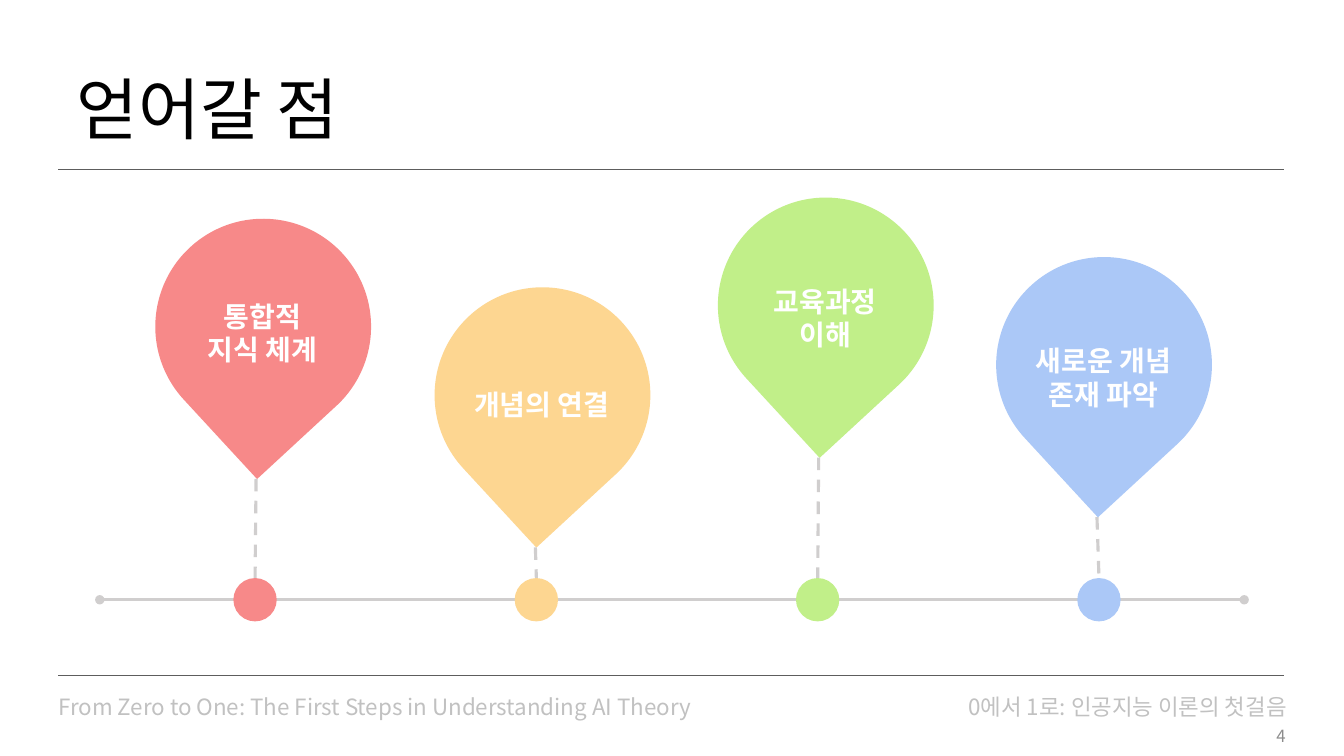
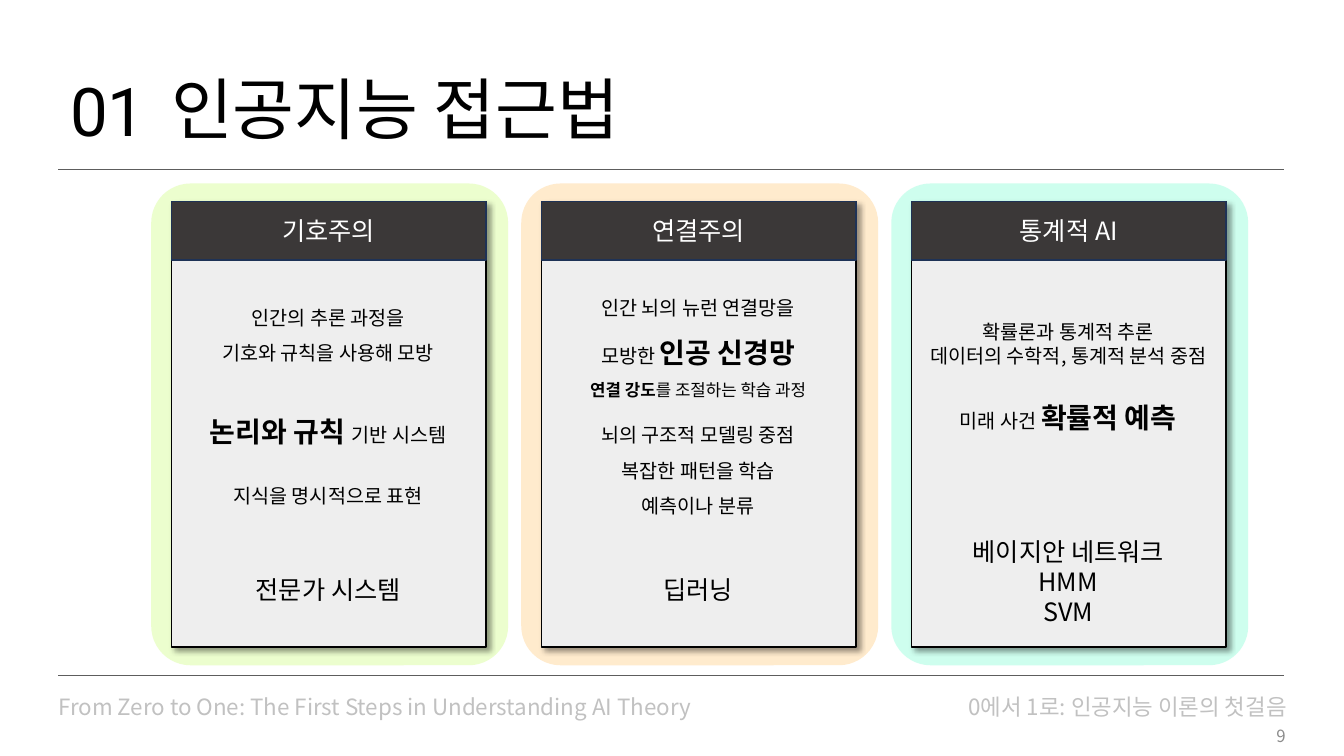
from lxml.etree import SubElement
from pptx import Presentation
from pptx.dml.color import RGBColor
from pptx.enum.dml import MSO_LINE
from pptx.enum.shapes import MSO_CONNECTOR, MSO_SHAPE
from pptx.enum.text import MSO_ANCHOR, MSO_AUTO_SIZE, PP_ALIGN
from pptx.oxml.ns import qn
from pptx.util import Inches, Pt

BLACK = RGBColor(0x00, 0x00, 0x00)
WHITE = RGBColor(0xFF, 0xFF, 0xFF)
RULE = RGBColor(0x5D, 0x5D, 0x5D)
FOOTER = RGBColor(0xC1, 0xC1, 0xC1)
PAGE_NO = RGBColor(0x8C, 0x8C, 0x8C)
AXIS = RGBColor(0xD0, 0xCE, 0xCE)
RED = RGBColor(0xF7, 0x89, 0x89)
YELLOW = RGBColor(0xFD, 0xD6, 0x91)
GREEN = RGBColor(0xC1, 0xEF, 0x89)
BLUE = RGBColor(0xAB, 0xC8, 0xF7)
LIME_HALO = RGBColor(0xEC, 0xFE, 0xCE)
PEACH_HALO = RGBColor(0xFF, 0xEB, 0xCD)
MINT_HALO = RGBColor(0xCE, 0xFE, 0xEE)
CARD = RGBColor(0xEE, 0xEE, 0xEE)
CARD_HEAD = RGBColor(0x3B, 0x38, 0x38)
HEAD_LINE = RGBColor(0x1E, 0x32, 0x56)

FONT = "Noto Sans CJK KR"
NUMBER_FONT = "Roboto"

AXIS_Y = 5.95
DOT = 0.43
DROP = 2.14
TIP_DX, TIP_DY = -0.07, 2.58

PINS = [
    (RED, 1.54, 2.17, 2.92, ["통합적", "지식 체계"]),
    (YELLOW, 4.31, 2.85, 3.8, ["개념의 연결"]),
    (GREEN, 7.12, 1.96, 2.77, ["교육과정", "이해"]),
    (BLUE, 9.88, 2.55, 3.36, ["새로운 개념", "존재 파악"]),
]

CARDS = [
    (LIME_HALO, "기호주의", 2.91, 2.13, [
        (1.5, [("인간의 추론 과정을", 14, False)]),
        (1.5, [("기호와 규칙을 사용해 모방", 14, False)]),
        (2.5, [("논리와 규칙 ", 20, True), ("기반 시스템", 14, False)]),
        (2.5, [("지식을 명시적으로 표현", 14, False)]),
    ], 5.65, ["전문가 시스템"]),
    (PEACH_HALO, "연결주의", 2.78, 2.39, [
        (1.5, [("인간 뇌의 뉴런 연결망을", 14, False)]),
        (1.5, [("모방한 ", 14, False), ("인공 신경망", 20, True)]),
        (1.5, [("연결 강도", 12, True), ("를 조절하는 학습 과정", 12, False)]),
        (2.0, [("뇌의 구조적 모델링 중점", 14, False)]),
        (1.5, [("복잡한 패턴을 학습", 14, False)]),
        (1.5, [("예측이나 분류", 14, False)]),
    ], 5.65, ["딥러닝"]),
    (MINT_HALO, "통계적 AI", 2.82, 1.61, [
        (2.0, [("확률론과 통계적 추론", 14, False)]),
        (1.0, [("데이터의 수학적, 통계적 분석 중점", 14, False)]),
        (2.0, [("미래 사건 ", 14, False), ("확률적 예측", 20, True)]),
    ], 5.27, ["베이지안 네트워크", "HMM", "SVM"]),
]


def plain(lines, size, bold=False, spacing=1.0):
    """Turn lines of one format into paragraph data."""
    return [(spacing, [(line, size, bold)]) for line in lines]


def write(tf, paragraphs, color, align=PP_ALIGN.CENTER, font=FONT):
    """Fill a text frame with (spacing, runs) paragraphs."""
    for i, (spacing, runs) in enumerate(paragraphs):
        p = tf.add_paragraph() if i else tf.paragraphs[0]
        p.alignment = align
        p.line_spacing = spacing
        for text, size, bold in runs:
            r = p.add_run()
            r.text = text
            r.font.size = Pt(size)
            r.font.bold = bold
            r.font.color.rgb = color
            r.font.name = font
            SubElement(r.font._element, qn("a:ea"), typeface=font)


def add_text(slide, box, paragraphs, color, align=PP_ALIGN.CENTER,
             anchor=MSO_ANCHOR.TOP, font=FONT, grow=True):
    """Add a wrapping text box."""
    tf = slide.shapes.add_textbox(*map(Inches, box)).text_frame
    tf.word_wrap = True
    tf.vertical_anchor = anchor
    tf.auto_size = MSO_AUTO_SIZE.SHAPE_TO_FIT_TEXT if grow else MSO_AUTO_SIZE.NONE
    write(tf, paragraphs, color, align, font)


def add_line(slide, start, end, color, width, dash=None, ends=None):
    """Add a straight line, optionally dashed or with end marks."""
    line = slide.shapes.add_connector(
        MSO_CONNECTOR.STRAIGHT, *map(Inches, (*start, *end)))
    line.line.color.rgb = color
    line.line.width = Pt(width)
    if dash:
        line.line.dash_style = dash
    if ends:
        for tag in ("a:headEnd", "a:tailEnd"):
            SubElement(line.line._get_or_add_ln(), qn(tag), type=ends)
    SubElement(line._element.spPr, qn("a:effectLst"))


def add_shape(slide, kind, box, fill, line=None):
    """Add a filled shape without shadow."""
    sp = slide.shapes.add_shape(kind, *map(Inches, box))
    sp.shadow.inherit = False
    sp.fill.solid()
    sp.fill.fore_color.rgb = fill
    if line is None:
        sp.line.fill.background()
    else:
        sp.line.color.rgb = line
        sp.line.width = Pt(1)
    return sp


def cast_shadow(sp):
    """Give a shape a soft shadow to the lower right."""
    effects = sp._element.spPr.find(qn("a:effectLst"))
    shadow = SubElement(effects, qn("a:outerShdw"), blurRad=str(Pt(4)),
                        dist=str(Pt(3)), dir="2700000", algn="tl", rotWithShape="0")
    color = SubElement(shadow, qn("a:srgbClr"), val=str(BLACK))
    SubElement(color, qn("a:alpha"), val="40000")


def add_frame(prs, title, title_x, page, number=None):
    """Add a slide with rules, title, footer and page number."""
    slide = prs.slides.add_slide(prs.slide_layouts[6])
    for y in (1.68, 6.7):
        add_line(slide, (0.58, y), (12.73, y), RULE, 0.5)
    add_text(slide, (0.48, 6.83, 7.01, 0.37),
             plain(["From Zero to One: The First Steps in Understanding AI Theory"], 16),
             FOOTER, PP_ALIGN.LEFT)
    add_text(slide, (8.44, 6.83, 4.42, 0.37),
             plain(["0에서 1로: 인공지능 이론의 첫걸음"], 16), FOOTER, PP_ALIGN.RIGHT)
    add_text(slide, (title_x, 0.7, 6.26, 0.83), plain([title], 48, spacing=0.9),
             BLACK, PP_ALIGN.LEFT, MSO_ANCHOR.MIDDLE, grow=False)
    if number:
        add_text(slide, (0.58, 0.7, 0.98, 0.87), plain([number], 48, spacing=0.9),
                 BLACK, anchor=MSO_ANCHOR.MIDDLE, font=NUMBER_FONT, grow=False)
    add_text(slide, (9.85, 7.1, 3, 0.4), plain([page], 12), PAGE_NO,
             PP_ALIGN.RIGHT, MSO_ANCHOR.MIDDLE, grow=False)
    return slide


def add_pin(slide, x, y, dot_x, color, label_y, label):
    """Add a drop at x, y, tied by a dashed line to its dot on the axis."""
    center = x + DROP / 2
    drop = add_shape(slide, MSO_SHAPE.TEAR, (x, y, DROP, DROP), color)
    drop.rotation = 137.3
    add_line(slide, (center + TIP_DX, y + TIP_DY), (dot_x, AXIS_Y - DOT / 2),
             AXIS, 2.25, MSO_LINE.DASH)
    add_shape(slide, MSO_SHAPE.OVAL,
              (dot_x - DOT / 2, AXIS_Y - DOT / 2, DOT, DOT), color)
    add_text(slide, (center - 1.04, label_y, 2.07, 0.34 * len(label) + 0.1),
             plain(label, 20, True), WHITE)


def add_card(slide, x, y, halo, heading, body_y, body_h, body, result_y, result):
    """Add a haloed card with heading, body and result at x, y."""
    width, height = 3.12, 4.42
    back = add_shape(slide, MSO_SHAPE.ROUNDED_RECTANGLE,
                     (x - 0.2, y - 0.18, 3.54, 4.78), halo)
    back.adjustments[0] = 0.11
    cast_shadow(add_shape(slide, MSO_SHAPE.RECTANGLE, (x, y, width, height), CARD, BLACK))
    head = add_shape(slide, MSO_SHAPE.RECTANGLE, (x, y, width, 0.58), CARD_HEAD, HEAD_LINE)
    head.text_frame.vertical_anchor = MSO_ANCHOR.MIDDLE
    write(head.text_frame, plain([heading], 18), WHITE)
    add_text(slide, (x + 0.06, body_y, 2.99, body_h), body, BLACK, anchor=MSO_ANCHOR.MIDDLE)
    add_text(slide, (x + 0.06, result_y, 2.99, 0.3 * len(result) + 0.1),
             plain(result, 18), BLACK)


def build_takeaways(prs):
    """Build the slide of four takeaways along an axis."""
    slide = add_frame(prs, "얻어갈 점", 0.66, "4")
    add_line(slide, (0.99, AXIS_Y), (12.34, AXIS_Y), AXIS, 2.25, ends="oval")
    for i, (color, x, y, label_y, label) in enumerate(PINS):
        add_pin(slide, x, y, 2.53 + 2.79 * i, color, label_y, label)


def build_approaches(prs):
    """Build the slide of three approaches side by side."""
    slide = add_frame(prs, "인공지능 접근법", 1.6, "9", "01")
    for i, card in enumerate(CARDS):
        add_card(slide, 1.7 + 3.67 * i, 2, *card)


def main():
    """Build and save the presentation."""
    prs = Presentation()
    prs.slide_width = Inches(13.33)
    prs.slide_height = Inches(7.5)
    build_takeaways(prs)
    build_approaches(prs)
    prs.save("out.pptx")


if __name__ == "__main__":
    main()
